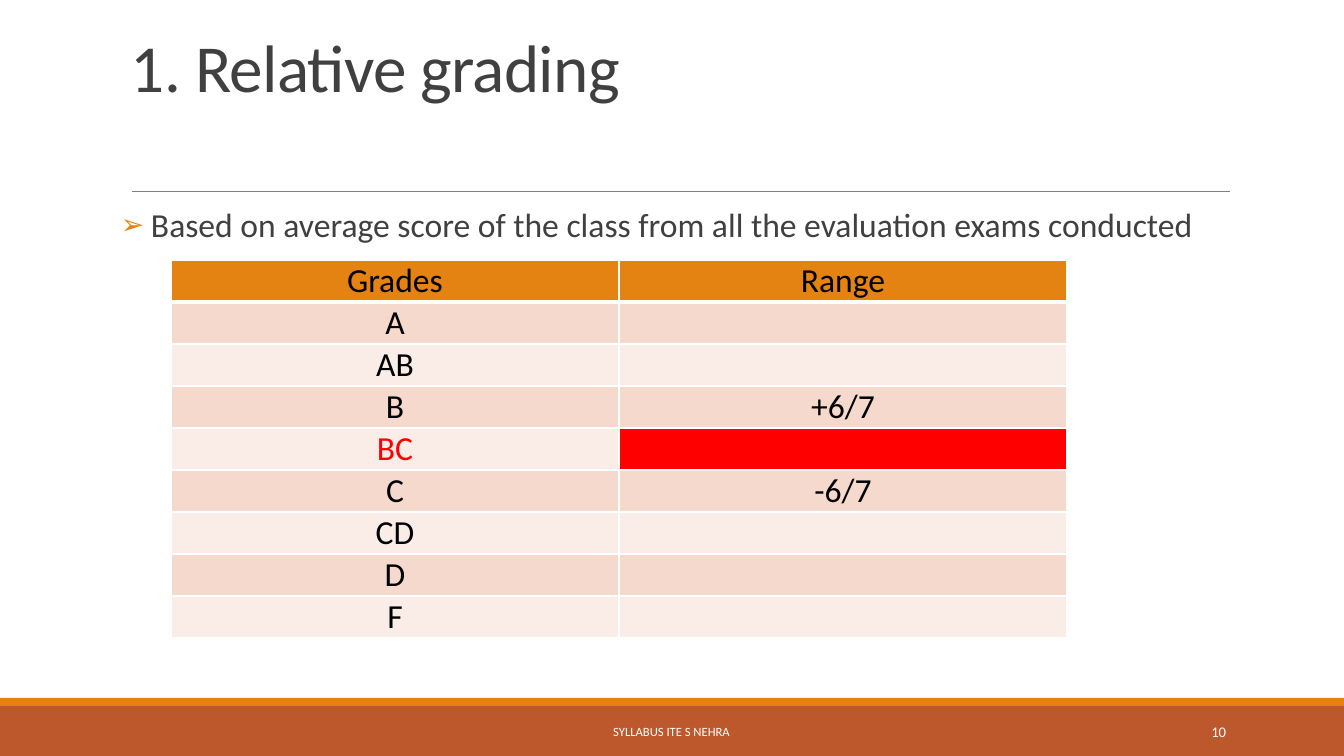
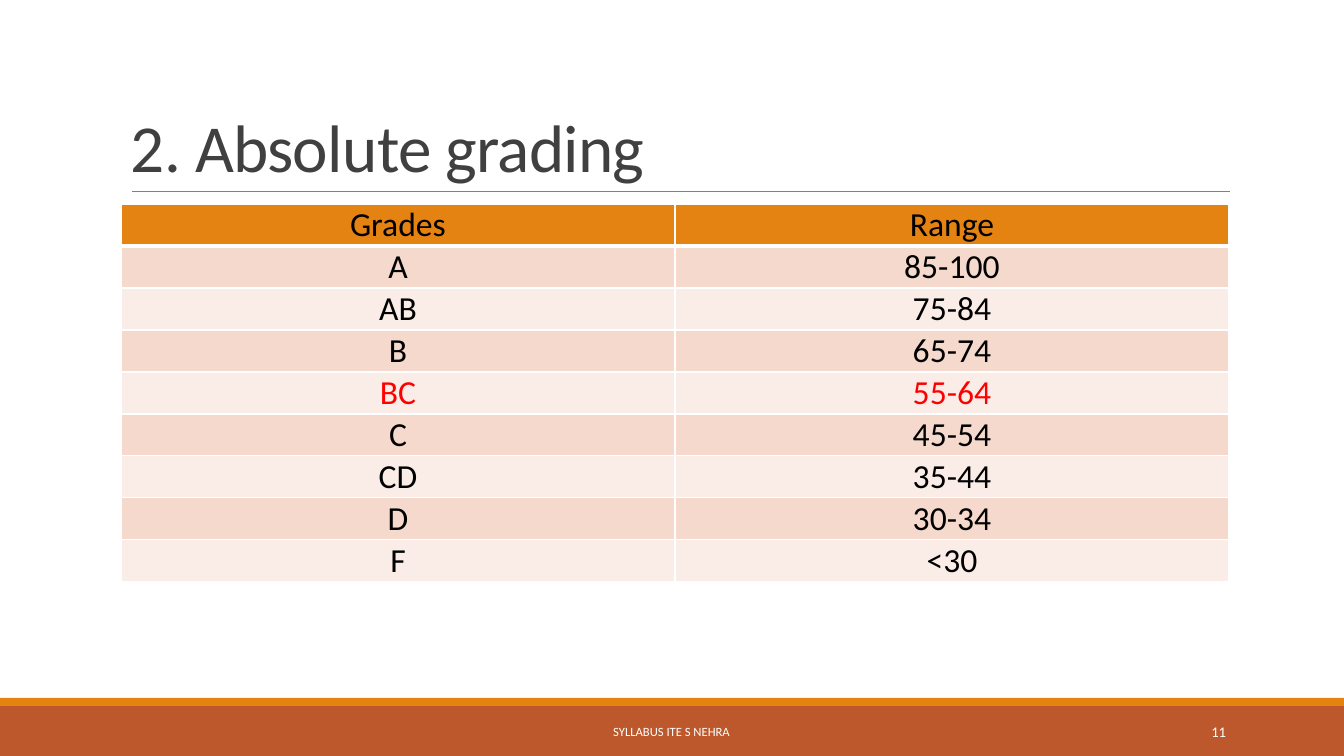
from lxml.etree import SubElement
from pptx import Presentation
from pptx.dml.color import RGBColor as RGB
from pptx.enum.shapes import MSO_CONNECTOR as CONNECTOR, MSO_SHAPE as SHAPE
from pptx.enum.text import MSO_ANCHOR as ANCHOR, PP_ALIGN as ALIGN
from pptx.oxml.ns import qn
from pptx.util import Emu, Pt

COLORS = {
    "band": "BD582C",
    "accent": "E48312",
    "rule": "808080",
    "title": "404040",
    "white": "FFFFFF",
    "black": "000000",
    "red": "FF0000",
    "odd_row": "F5D9CC",
    "even_row": "FAEDE7",
}
FONT = "Calibri"
ROW_HEIGHT = 42
GRADES = ["A", "AB", "B", "BC", "C", "CD", "D", "F"]
HIGHLIGHT = "BC"

SLIDES = [
    {
        "number": "10",
        "title": "1. Relative grading",
        "title_height": 80,
        "statement": "Based on average score of the class from all the evaluation exams conducted",
        "table": (171, 260, 448),
        "ranges": ["", "", "+6/7", "", "-6/7", "", "", ""],
    },
    {
        "number": "11",
        "title": "2. Absolute grading",
        "title_height": 160,
        "statement": "",
        "table": (121, 204, 554),
        "ranges": ["85-100", "75-84", "65-74", "55-64", "45-54", "35-44", "30-34", "<30"],
    },
]


def px(length):
    return Emu(round(length * 914400 / 100.8))


def add_run(paragraph, text, size, color):
    run = paragraph.add_run()
    run.text = text
    run.font.name = FONT
    run.font.size = Pt(size)
    run.font.color.rgb = RGB.from_string(COLORS[color])
    return run


prs = Presentation()
prs.slide_width, prs.slide_height = px(1344), px(756)

for content in SLIDES:
    slide = prs.slides.add_slide(prs.slide_layouts[6])
    shapes = slide.shapes

    for top, height, color in [(706, 50, "band"), (698, 8, "accent")]:
        band = shapes.add_shape(SHAPE.RECTANGLE, 0, px(top), px(1344), px(height))
        band.shadow.inherit = False
        band.fill.solid()
        band.fill.fore_color.rgb = RGB.from_string(COLORS[color])
        band.line.fill.background()

    rule = shapes.add_connector(CONNECTOR.STRAIGHT, px(132), px(191), px(1230), px(191))
    rule.line.color.rgb = RGB.from_string(COLORS["rule"])
    rule.line.width = Pt(0.5)
    SubElement(rule._element.spPr, qn("a:effectLst"))

    title = shapes.add_textbox(px(121), px(31), px(1109), px(content["title_height"])).text_frame
    title.word_wrap = True
    title.vertical_anchor = ANCHOR.BOTTOM
    title.paragraphs[0].line_spacing = 0.85
    heading = add_run(title.paragraphs[0], content["title"], 48, "title")
    heading.font._element.set("spc", "-50")

    if content["statement"]:
        body = shapes.add_textbox(px(121), px(204), px(1109), px(50)).text_frame
        body.word_wrap = True
        body.margin_left = body.margin_right = 0
        statement = body.paragraphs[0]
        statement.line_spacing = 0.9
        statement.space_after = Pt(2)
        add_run(statement, content["statement"], 24, "title")
        bullet = statement._p.get_or_add_pPr()
        bullet.set("marL", str(px(30)))
        bullet.set("indent", str(-px(30)))
        bullet_color = SubElement(bullet, qn("a:buClr"))
        SubElement(bullet_color, qn("a:srgbClr"), val=COLORS["accent"])
        SubElement(bullet, qn("a:buSzPct"), val="83000")
        SubElement(bullet, qn("a:buFont"), typeface=FONT)
        SubElement(bullet, qn("a:buChar"), char="➢")

    left, top, column_width = content["table"]
    rows = [("Grades", "Range"), *zip(GRADES, content["ranges"])]
    grading = shapes.add_table(
        len(rows), 2, px(left), px(top), px(2 * column_width), px(len(rows) * ROW_HEIGHT)
    ).table
    for column in grading.columns:
        column.width = px(column_width)
    for r, row in enumerate(rows):
        grading.rows[r].height = px(ROW_HEIGHT)
        row_fill = "accent" if r == 0 else "odd_row" if r % 2 else "even_row"
        text_color = "red" if row[0] == HIGHLIGHT else "black"
        for c, text in enumerate(row):
            cell = grading.cell(r, c)
            cell.margin_left = cell.margin_right = cell.margin_top = px(1)
            cell.margin_bottom = 0
            cell.vertical_anchor = ANCHOR.BOTTOM
            widths = {"lnL": 1, "lnR": 1, "lnT": 3 if r == 1 else 1, "lnB": 3 if r == 0 else 1}
            for side, width in widths.items():
                border = SubElement(cell._tc.get_or_add_tcPr(), qn("a:" + side), w=str(Pt(width)))
                border_fill = SubElement(border, qn("a:solidFill"))
                SubElement(border_fill, qn("a:srgbClr"), val=COLORS["white"])
            cell.fill.solid()
            fill = "red" if row[0] == HIGHLIGHT and not text else row_fill
            cell.fill.fore_color.rgb = RGB.from_string(COLORS[fill])
            if text:
                entry = cell.text_frame.paragraphs[0]
                entry.alignment = ALIGN.CENTER
                add_run(entry, text, 24, text_color)

    for left, width, text, size, alignment in [
        (406, 531, "SYLLABUS ITE S NEHRA", 9, ALIGN.CENTER),
        (1092, 144, content["number"], 10.5, ALIGN.RIGHT),
    ]:
        footer = shapes.add_textbox(px(left), px(712), px(width), px(40)).text_frame
        footer.word_wrap = True
        footer.vertical_anchor = ANCHOR.MIDDLE
        footer.paragraphs[0].alignment = alignment
        add_run(footer.paragraphs[0], text, size, "white")

prs.save("out.pptx")
